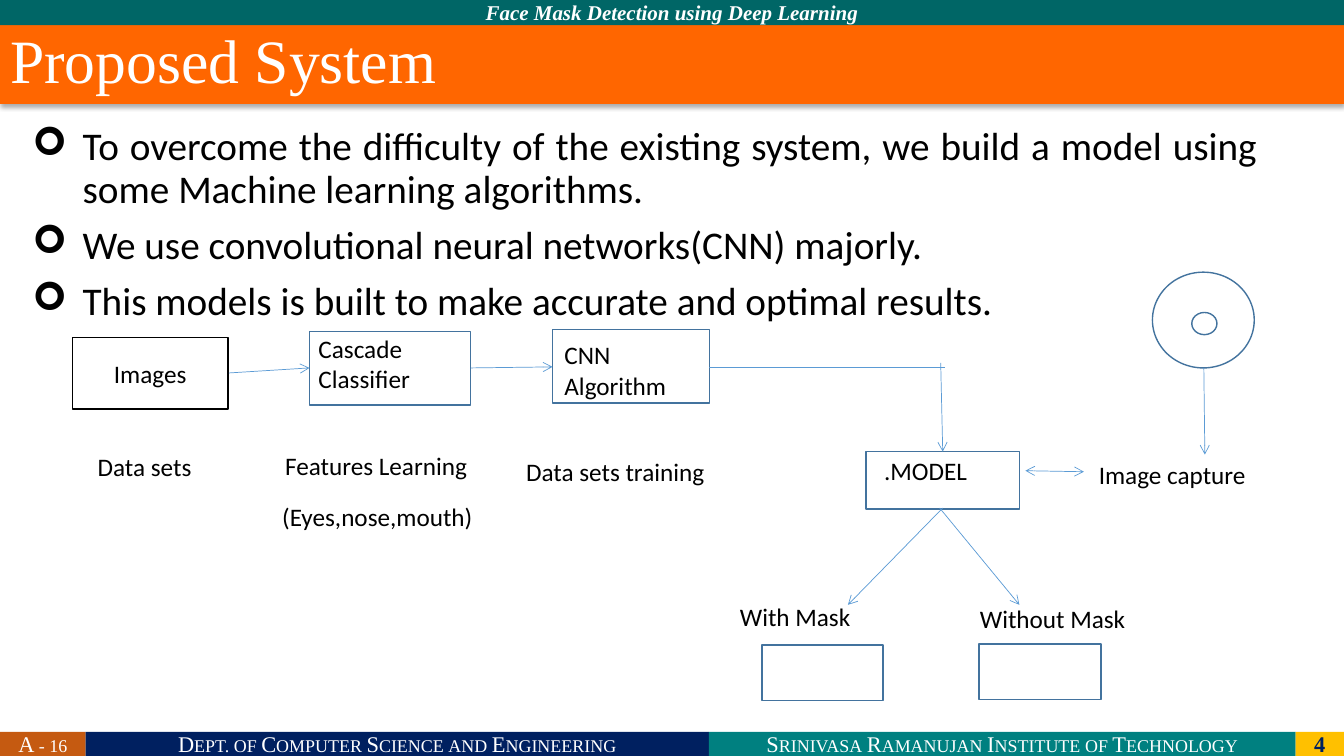
from lxml import etree
from pptx import Presentation
from pptx.dml.color import RGBColor
from pptx.enum.shapes import MSO_CONNECTOR, MSO_SHAPE
from pptx.enum.text import MSO_ANCHOR, MSO_AUTO_SIZE, PP_ALIGN
from pptx.oxml.ns import qn
from pptx.util import Inches, Pt

RECTANGLE, OVAL = MSO_SHAPE.RECTANGLE, MSO_SHAPE.OVAL
STRAIGHT = MSO_CONNECTOR.STRAIGHT
TOP, MIDDLE = MSO_ANCHOR.TOP, MSO_ANCHOR.MIDDLE
LEFT, CENTER, JUSTIFY = PP_ALIGN.LEFT, PP_ALIGN.CENTER, PP_ALIGN.JUSTIFY
FIXED = MSO_AUTO_SIZE.NONE

SERIF, SANS = "Times New Roman", "Calibri"
WHITE, BLACK, OUTLINE, ARROW = "FFFFFF", "000000", "43739E", "5B9BD5"
LABEL = {"name": SANS, "size": Pt(18)}
FOOTER = {"name": SERIF, "size": Pt(16)}

STRIPS = [
    ("Face Mask Detection using Deep Learning", 0, 0, 13.33, 0.25, "006666", WHITE,
     {"name": SERIF, "size": Pt(15), "bold": True, "italic": True}, False),
    ("A - 16", 0, 7.26, 0.85, 0.24, "C55A11", WHITE, FOOTER, True),
    ("Dept. of Computer Science and Engineering", 0.85, 7.26, 6.18, 0.24,
     "002060", WHITE, FOOTER, True),
    ("Srinivasa Ramanujan Institute of Technology", 7.03, 7.26, 5.82, 0.24,
     "008080", WHITE, FOOTER, True),
    ("4", 12.85, 7.26, 0.48, 0.24, "FFC000", "002060", FOOTER | {"bold": True}, False),
]
POINTS = [
    ("To overcome the difficulty of the existing system, we build a model using "
     "some Machine learning algorithms.", JUSTIFY),
    ("We use convolutional neural networks(CNN) majorly.", LEFT),
    ("This models is built to make accurate and optimal results.", JUSTIFY),
]
OUTLINED = [
    (RECTANGLE, 3.07, 3.29, 1.6, 0.73),
    (RECTANGLE, 5.48, 3.27, 1.56, 0.73),
    (RECTANGLE, 8.59, 4.48, 1.52, 0.57),
    (RECTANGLE, 7.56, 6.4, 1.2, 0.55),
    (RECTANGLE, 9.71, 6.39, 1.21, 0.55),
    (OVAL, 11.43, 2.7, 1.01, 0.95),
    (OVAL, 11.82, 3.1, 0.25, 0.22),
]
ARROWS = [
    (9.35, 5.04, 8.41, 6, ["tailEnd"]),
    (9.32, 5.04, 10.11, 6, ["tailEnd"]),
    (2.27, 3.7, 3.07, 3.65, ["tailEnd"]),
    (4.67, 3.65, 5.48, 3.64, ["tailEnd"]),
    (7.03, 3.64, 9.37, 3.64, []),
    (9.33, 3.6, 9.35, 4.48, ["tailEnd"]),
    (10.17, 4.67, 10.75, 4.68, ["headEnd", "tailEnd"]),
    (11.94, 3.65, 11.95, 4.51, ["tailEnd"]),
]
LABELS = [
    ("Data sets", 0.87, 4.43, 1.25, 0.4),
    ("Features Learning", 2.73, 4.42, 2.39, 0.4),
    ("(Eyes,nose,mouth)", 2.7, 4.92, 2.25, 0.4),
    ("Cascade Classifier", 3.06, 3.26, 1.65, 0.71),
    ("CNN Algorithm", 5.5, 3.32, 1.5, 0.71),
    ("Data sets training", 5.12, 4.48, 2.44, 1.01),
    (".MODEL", 8.67, 4.47, 1.5, 0.4),
    ("With Mask", 7.24, 5.92, 1.96, 0.4),
    ("Without Mask", 9.62, 5.94, 1.92, 0.4),
    ("Image capture", 10.8, 4.51, 1.87, 0.4),
]


def rgb(value):
    return RGBColor.from_string(value)


def inches(*lengths):
    return [Inches(length) for length in lengths]


def set_all(target, values):
    for name, value in values.items():
        setattr(target, name, value)


def write(para, text, font, color, **layout):
    set_all(para, layout)
    span = para.add_run()
    span.text = text
    set_all(span.font, font)
    span.font.color.rgb = rgb(color)
    return span


def paint(shape, fill, line=None):
    shape.fill.solid()
    shape.fill.fore_color.rgb = rgb(fill)
    if line:
        shape.line.color.rgb = rgb(line)
        shape.line.width = Pt(1)
    else:
        shape.line.fill.background()


def add_box(page, kind, place, fill, line=None):
    box = page.shapes.add_shape(kind, *inches(*place))
    box.shadow.inherit = False
    paint(box, fill, line)
    set_all(box.text_frame, {"word_wrap": True, "vertical_anchor": MIDDLE})
    return box


def add_label(page, text, *place):
    box = page.shapes.add_textbox(*inches(*place))
    box.text_frame.word_wrap = True
    write(box.text_frame.paragraphs[0], text, LABEL, BLACK)


def add_arrow(page, x1, y1, x2, y2, ends):
    arrow = page.shapes.add_connector(STRAIGHT, *inches(x1, y1, x2, y2))
    arrow.line.color.rgb = rgb(ARROW)
    arrow.line.width = Pt(0.5)
    line = arrow.line._get_or_add_ln()
    for end in ends:
        etree.SubElement(line, qn(f"a:{end}"), type="arrow")
    etree.SubElement(arrow.element.spPr, qn("a:effectLst"))


def add_shadow(shape):
    effects = etree.SubElement(shape.element.spPr, qn("a:effectLst"))
    shadow = etree.SubElement(effects, qn("a:outerShdw"), blurRad=str(Pt(3.5)),
                              dist=str(Pt(2.2)), dir="5400000", rotWithShape="0")
    color = etree.SubElement(shadow, qn("a:srgbClr"), val=BLACK)
    etree.SubElement(color, qn("a:alpha"), val="32000")


def place_placeholder(shape, *place):
    for name, length in zip(("left", "top", "width", "height"), inches(*place)):
        setattr(shape, name, length)
    set_all(shape.text_frame, {"word_wrap": True, "auto_size": FIXED,
                               "vertical_anchor": TOP})


def fill_title(title):
    place_placeholder(title, 0, 0.25, 13.33, 0.78)
    paint(title, "FF6600")
    add_shadow(title)
    write(title.text_frame.paragraphs[0], "Proposed System",
          {"name": SERIF, "size": Pt(44)}, WHITE, alignment=LEFT, line_spacing=0.9)


def fill_body(body):
    place_placeholder(body, 0.22, 1.21, 12.35, 5.62)
    paint(body, WHITE, WHITE)
    frame = body.text_frame
    for index, (text, alignment) in enumerate(POINTS):
        para = frame.add_paragraph() if index else frame.paragraphs[0]
        write(para, text, {"name": SANS, "size": Pt(28)}, BLACK,
              alignment=alignment, line_spacing=0.9, space_before=Pt(10))
        properties = para._p.get_or_add_pPr()
        properties.set("marL", str(Inches(0.5)))
        properties.set("indent", str(-Inches(0.5)))
        etree.SubElement(properties, qn("a:buFont"), typeface="Wingdings")
        etree.SubElement(properties, qn("a:buChar"), char="➢")


def add_strip(page, text, left, top, width, height, fill, color, font, small_caps):
    strip = add_box(page, RECTANGLE, (left, top, width, height), fill)
    span = write(strip.text_frame.paragraphs[0], text, font, color, alignment=CENTER)
    if small_caps:
        span.font._element.set("cap", "small")


def main():
    deck = Presentation()
    deck.slide_width, deck.slide_height = inches(13.33, 7.5)
    page = deck.slides.add_slide(deck.slide_layouts[1])
    fill_title(page.shapes.title)
    fill_body(page.placeholders[1])
    for strip in STRIPS:
        add_strip(page, *strip)
    images = add_box(page, RECTANGLE, (0.72, 3.35, 1.54, 0.71), WHITE, BLACK)
    write(images.text_frame.paragraphs[0], "Images", LABEL, BLACK, alignment=CENTER)
    for kind, *place in OUTLINED:
        add_box(page, kind, place, WHITE, OUTLINE)
    for arrow in ARROWS:
        add_arrow(page, *arrow)
    for label in LABELS:
        add_label(page, *label)
    deck.save("out.pptx")


if __name__ == "__main__":
    main()
